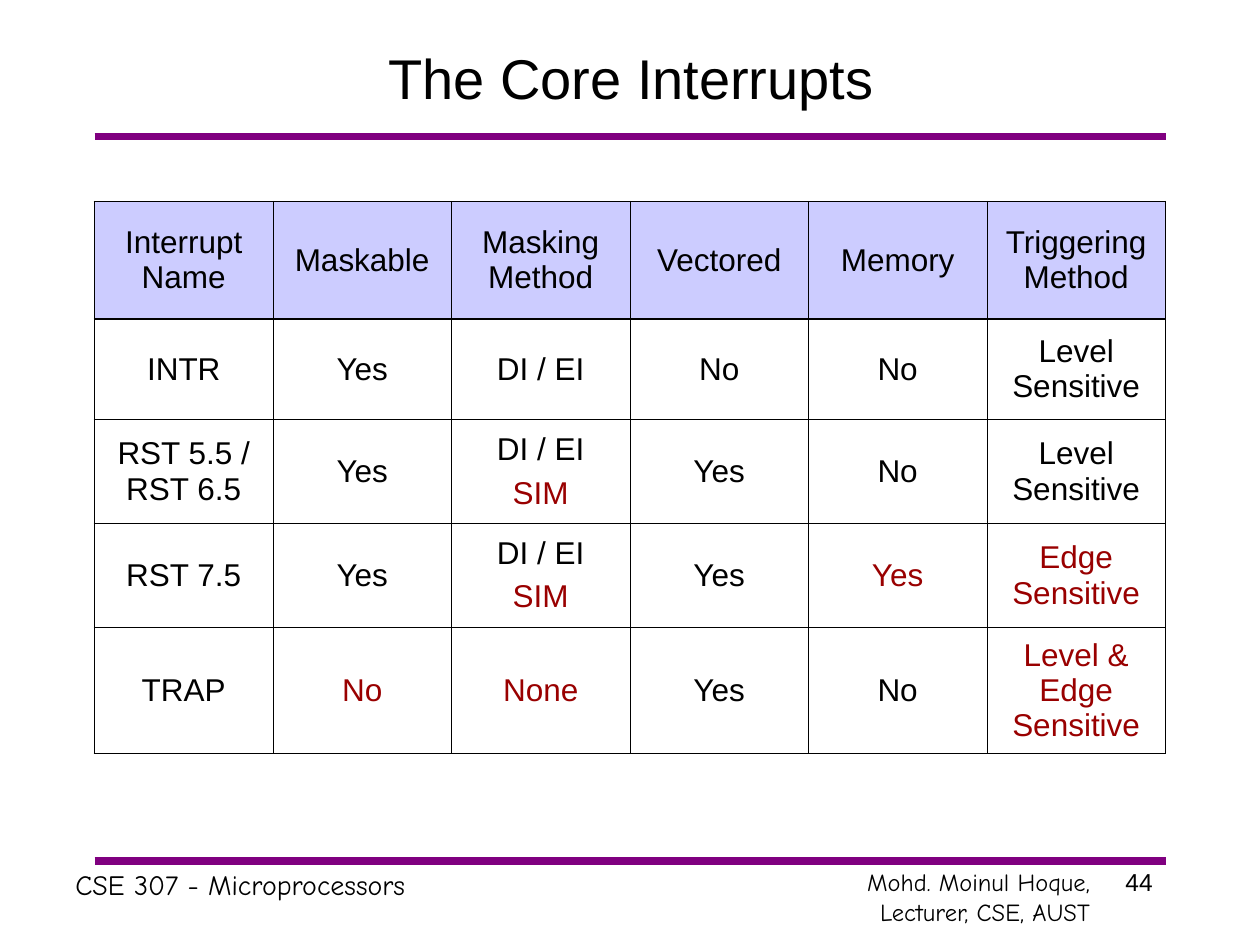
from dataclasses import dataclass

from lxml import etree
from pptx import Presentation
from pptx.dml.color import RGBColor
from pptx.enum.shapes import MSO_CONNECTOR
from pptx.enum.text import MSO_ANCHOR, PP_ALIGN
from pptx.oxml.ns import qn
from pptx.util import Inches, Pt

LEFT, CENTER, RIGHT = PP_ALIGN.LEFT, PP_ALIGN.CENTER, PP_ALIGN.RIGHT
TOP, MIDDLE = MSO_ANCHOR.TOP, MSO_ANCHOR.MIDDLE
STRAIGHT = MSO_CONNECTOR.STRAIGHT

SLIDE_WIDTH, SLIDE_HEIGHT = Inches(10), Inches(7.5)
GRID_COLUMNS = 120
BLACK, RED, PURPLE, LAVENDER = "000000", "990000", "800080", "CCCCFF"
THIN, THICK = 0.45, 1.08
RULE_LEFT, RULE_RIGHT = 9, 111
FOOTER_ROW = 82


@dataclass(frozen=True)
class Box:
    column: float
    row: float
    columns: float
    rows: float

    def lengths(self) -> tuple:
        return tuple(map(grid, (self.column, self.row, self.columns, self.rows)))


@dataclass(frozen=True)
class Label:
    text: str
    box: Box
    size: float
    font: str
    alignment: int = LEFT


@dataclass(frozen=True)
class Entry:
    text: str
    color: str = BLACK


LABELS = (
    Label("Mohd. Moinul Hoque, Lecturer, CSE, AUST",
          Box(76, FOOTER_ROW, 29, 6.84), 14, "Comic Neue", RIGHT),
    Label("CSE 307 - Microprocessors",
          Box(6, FOOTER_ROW, 68, 4.4), 16, "Comic Neue"),
    Label("44", Box(106, FOOTER_ROW, 6.4, 6), 14, "Arial"),
)
TITLE = Label("The Core Interrupts", Box(9.12, 2.88, 102, 9), 32, "Arial", CENTER)

TABLE_BOX = Box(RULE_LEFT, 19.2, RULE_RIGHT - RULE_LEFT, 52.56)
ROW_HEIGHTS = (11.16, 9.6, 9.9, 9.9, 12)
YES, NO, DI_EI = Entry("Yes"), Entry("No"), Entry("DI / EI")
SIM = Entry("SIM", RED)
LEVEL = Entry("Level Sensitive")
HEADINGS = ("Interrupt Name", "Maskable", "Masking Method",
            "Vectored", "Memory", "Triggering Method")
TABLE_ROWS = (
    tuple((Entry(heading),) for heading in HEADINGS),
    ((Entry("INTR"),), (YES,), (DI_EI,), (NO,), (NO,), (LEVEL,)),
    ((Entry("RST 5.5 / RST 6.5"),), (YES,), (DI_EI, SIM), (YES,), (NO,), (LEVEL,)),
    ((Entry("RST 7.5"),), (YES,), (DI_EI, SIM), (YES,),
     (Entry("Yes", RED),), (Entry("Edge Sensitive", RED),)),
    ((Entry("TRAP"),), (Entry("No", RED),), (Entry("None", RED),), (YES,),
     (NO,), (Entry("Level & Edge Sensitive", RED),)),
)


def grid(units: float) -> int:
    return round(SLIDE_WIDTH * units / GRID_COLUMNS)


def color(value: str) -> RGBColor:
    return RGBColor.from_string(value)


def set_attributes(target, values: dict) -> None:
    for name, value in values.items():
        setattr(target, name, value)


def write_paragraph(paragraph, text: str, size: float, font: str,
                    alignment: int, text_color: str = BLACK) -> None:
    run = paragraph.add_run()
    run.text = text
    paragraph.alignment = alignment
    set_attributes(run.font, {"size": Pt(size), "name": font, "bold": False})
    run.font.color.rgb = color(text_color)


def fill_label(shape, label: Label, anchor: int) -> None:
    positions = ("left", "top", "width", "height")
    set_attributes(shape, dict(zip(positions, label.box.lengths())))
    set_attributes(shape.text_frame, {"word_wrap": True, "vertical_anchor": anchor})
    write_paragraph(shape.text_frame.paragraphs[0], label.text,
                    label.size, label.font, label.alignment)


def add_rule(slide, row: float) -> None:
    connector = slide.shapes.add_connector(
        STRAIGHT, grid(RULE_LEFT), grid(row), grid(RULE_RIGHT), grid(row))
    connector.line.color.rgb = color(PURPLE)
    connector.line.width = Pt(4.5)
    etree.SubElement(connector._element.spPr, qn("a:effectLst"))


def set_borders(cell, widths: dict) -> None:
    properties = cell._tc.get_or_add_tcPr()
    for side, width in widths.items():
        border = etree.SubElement(properties, qn(f"a:ln{side}"), w=str(Pt(width)))
        fill = etree.SubElement(border, qn("a:solidFill"))
        etree.SubElement(fill, qn("a:srgbClr"), val=BLACK)


def fill_cell(cell, entries: tuple) -> None:
    cell.vertical_anchor = MIDDLE
    for index, entry in enumerate(entries):
        frame = cell.text_frame
        paragraph = frame.add_paragraph() if index else frame.paragraphs[0]
        if index:
            paragraph.space_before = Pt(4.5)
        write_paragraph(paragraph, entry.text, 18, "Arial", CENTER, entry.color)


def add_interrupt_table(slide) -> None:
    row_count, column_count = len(TABLE_ROWS), len(HEADINGS)
    table = slide.shapes.add_table(row_count, column_count, *TABLE_BOX.lengths()).table
    set_attributes(table, {"first_row": False, "horz_banding": False})
    for column in table.columns:
        column.width = grid(TABLE_BOX.columns / column_count)
    for row_index, entries_by_column in enumerate(TABLE_ROWS):
        table.rows[row_index].height = grid(ROW_HEIGHTS[row_index])
        for column_index, entries in enumerate(entries_by_column):
            cell = table.cell(row_index, column_index)
            fill_cell(cell, entries)
            set_borders(cell, {
                "L": THICK if column_index == 0 else THIN,
                "R": THICK if column_index == column_count - 1 else THIN,
                "T": THICK if row_index <= 1 else THIN,
                "B": THICK if row_index in (0, row_count - 1) else THIN,
            })
            if row_index == 0:
                cell.fill.solid()
                cell.fill.fore_color.rgb = color(LAVENDER)
            else:
                cell.fill.background()


def main() -> None:
    presentation = Presentation()
    set_attributes(presentation, {"slide_width": SLIDE_WIDTH,
                                  "slide_height": SLIDE_HEIGHT})
    slide = presentation.slides.add_slide(presentation.slide_layouts[5])
    fill_label(slide.shapes.title, TITLE, MIDDLE)
    for row in (13, FOOTER_ROW):
        add_rule(slide, row)
    for label in LABELS:
        fill_label(slide.shapes.add_textbox(*label.box.lengths()), label, TOP)
    add_interrupt_table(slide)
    presentation.save("out.pptx")


if __name__ == "__main__":
    main()
